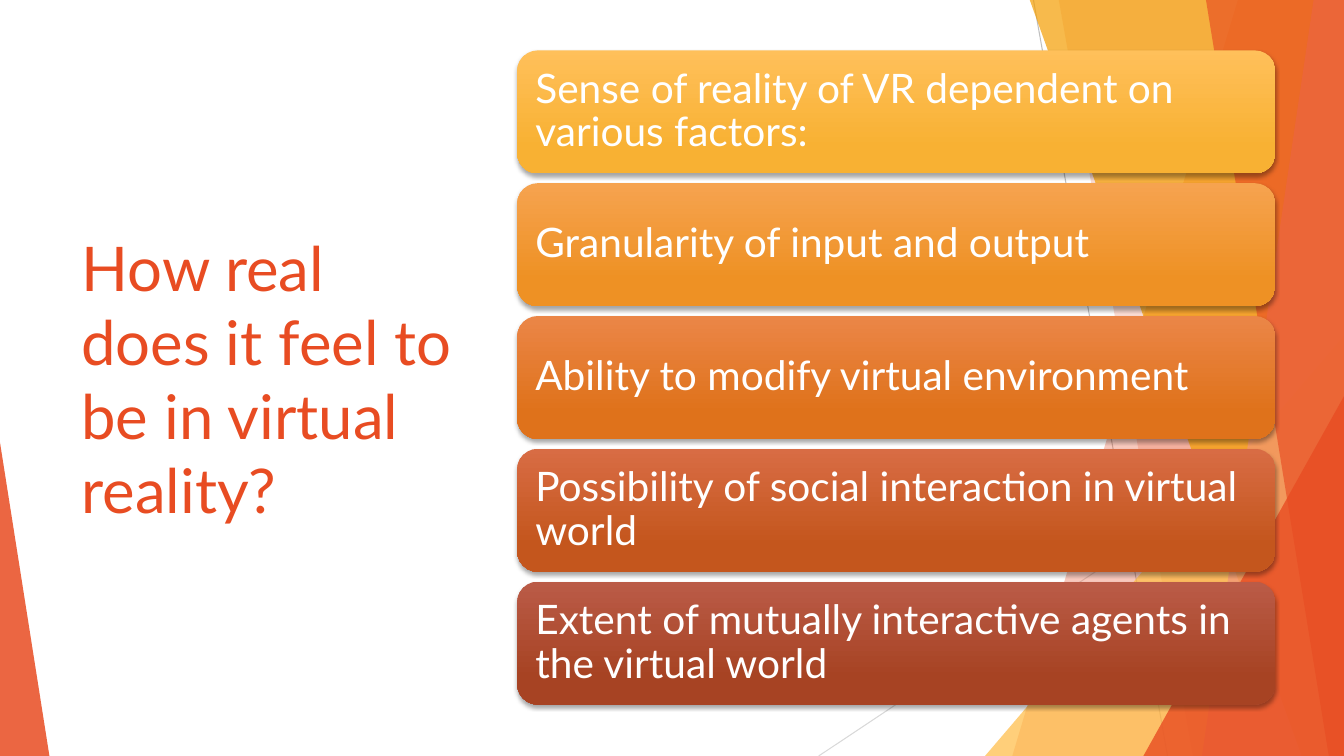
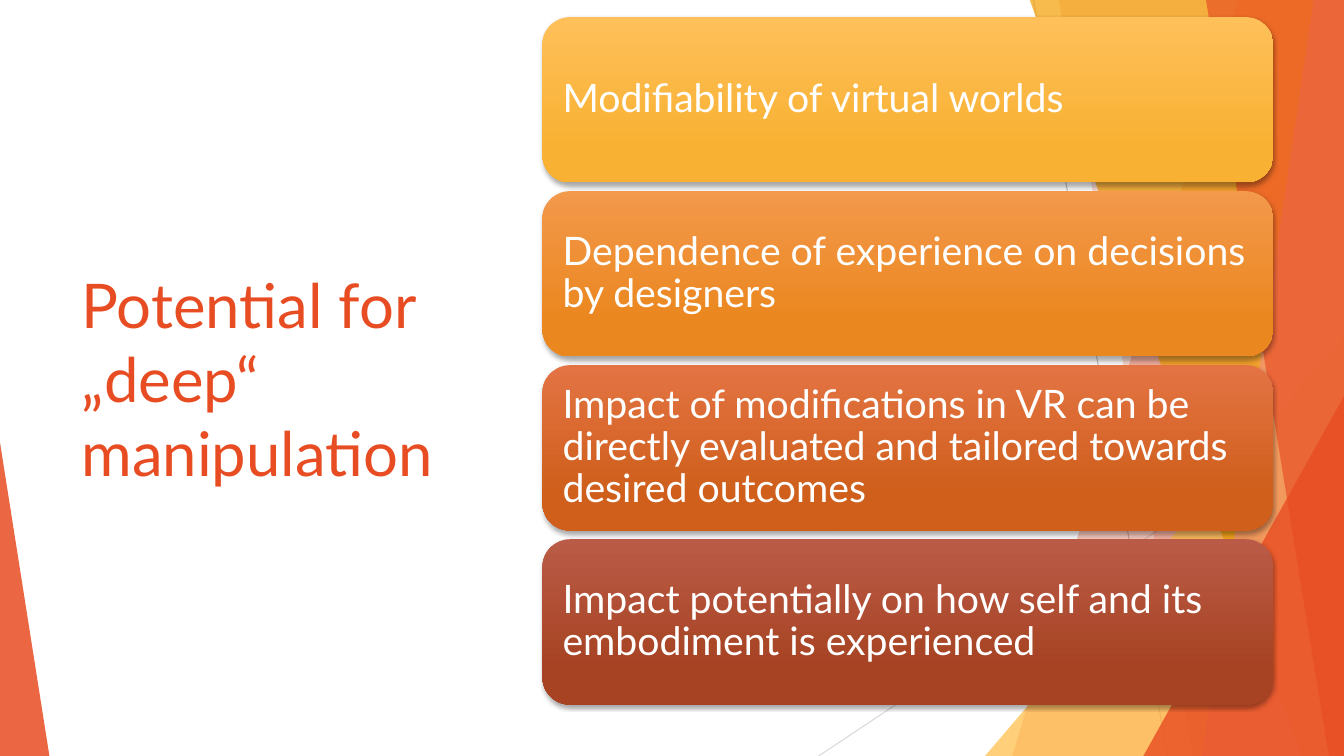
import lxml.etree
import pptx
import pptx.dml.color
import pptx.enum.shapes
import pptx.enum.text
import pptx.oxml.ns
import pptx.util

Inches = pptx.util.Inches
Pt = pptx.util.Pt
qn = pptx.oxml.ns.qn
MIDDLE = pptx.enum.text.MSO_ANCHOR.MIDDLE

FONT = "Lato"
SLIDE_WIDTH, SLIDE_HEIGHT = 13.33, 7.5
CARDS_BOTTOM = 6.99
COLOURS = {
    "red": "E84C22", "amber": "FFBD47", "gold": "F49D00", "salmon": "F1947A",
    "grey": "BFBFBF", "pale grey": "D9D9D9", "white": "FFFFFF", "black": "000000",
    "yellow top": "FFC05A", "yellow base": "F8B133",
    "apricot top": "F6A34F", "apricot base": "EE9124",
    "tangerine top": "F3994C", "tangerine base": "EB871F",
    "orange top": "EB8647", "orange base": "DF721B",
    "coral top": "E37343", "coral base": "CF5F1B",
    "rust top": "D86C44", "rust base": "C4561D",
    "brick top": "BA5B47", "brick base": "A74323",
}

# Hairlines: start x, start y, end x, end y, colour
HAIRLINES = [
    (10.25, 0, 11.58, SLIDE_HEIGHT, "grey"),
    (SLIDE_WIDTH, 4.03, 8.12, SLIDE_HEIGHT, "pale grey"),
]
# Ribbons run to the right edge: top x, bottom x
# Triangles stand on the bottom edge: left, top, width, apex position
DECORATIONS = [
    ("ribbon", (12.28, 10.04), "red", 30),
    ("ribbon", (10.5, 11.83), "red", 20),
    ("triangle", (9.77, 3.33, 3.56, 1), "amber", 72),
    ("ribbon", (10.21, 12.91), "gold", 70),
    ("ribbon", (13.03, 11.92), "salmon", 70),
    ("ribbon", (11.96, 13.18), "red", 65),
    ("triangle", (11.34, 3.93, 1.99, 1), "red", 80),
    ("triangle", (0, 4.39, 0.49, 0), "red", 85),
]

SLIDES = [
    {
        "title": "How real does it feel to be in virtual reality?",
        "left": 5.13, "top": 0.5, "width": 7.52, "height": 1.22, "size": 29,
        "cards": [
            ("Sense of reality of VR dependent on various factors:", "yellow"),
            ("Granularity of input and output", "apricot"),
            ("Ability to modify virtual environment", "orange"),
            ("Possibility of social interaction in virtual world", "rust"),
            ("Extent of mutually interactive agents in the virtual world", "brick"),
        ],
    },
    {
        "title": "Potential for „deep“ manipulation",
        "left": 5.38, "top": 0.17, "width": 7.25, "height": 1.64, "size": 28,
        "cards": [
            ("Modifiability of virtual worlds", "yellow"),
            ("Dependence of experience on decisions by designers", "tangerine"),
            ("Impact of modifications in VR can be directly evaluated "
             "and tailored towards desired outcomes", "coral"),
            ("Impact potentially on how self and its embodiment is experienced", "brick"),
        ],
    },
]


def rgb(name):
    return pptx.dml.color.RGBColor.from_string(COLOURS[name])


def write(shape, text, size, colour):
    """Set one left-aligned, vertically centred paragraph and return it."""
    frame = shape.text_frame
    frame.word_wrap = True
    frame.vertical_anchor = MIDDLE
    paragraph = frame.paragraphs[0]
    paragraph.alignment = pptx.enum.text.PP_ALIGN.LEFT
    run = paragraph.add_run()
    run.text = text
    run.font.name = FONT
    run.font.size = Pt(size)
    run.font.color.rgb = rgb(colour)
    return paragraph


presentation = pptx.Presentation()
presentation.slide_width = Inches(SLIDE_WIDTH)
presentation.slide_height = Inches(SLIDE_HEIGHT)

for content in SLIDES:
    slide = presentation.slides.add_slide(presentation.slide_layouts[6])
    shapes = slide.shapes

    for *ends, colour in HAIRLINES:
        hairline = shapes.add_connector(
            pptx.enum.shapes.MSO_CONNECTOR.STRAIGHT, *[Inches(value) for value in ends])
        hairline.line.color.rgb = rgb(colour)
        hairline.line.width = Pt(0.75)
        lxml.etree.SubElement(hairline._element.spPr, qn("a:effectLst"))

    for kind, geometry, colour, opacity in DECORATIONS:
        if kind == "ribbon":
            top_x, bottom_x = geometry
            builder = shapes.build_freeform(Inches(top_x), Inches(-0.01))
            corners = [(SLIDE_WIDTH, -0.01), (SLIDE_WIDTH, SLIDE_HEIGHT), (bottom_x, SLIDE_HEIGHT)]
            builder.add_line_segments([(Inches(x), Inches(y)) for x, y in corners], close=True)
            decoration = builder.convert_to_shape()
        else:
            left, top, width, apex = geometry
            decoration = shapes.add_shape(
                pptx.enum.shapes.MSO_SHAPE.ISOSCELES_TRIANGLE,
                Inches(left), Inches(top), Inches(width), Inches(SLIDE_HEIGHT - top))
            decoration.adjustments[0] = apex
        decoration.fill.solid()
        decoration.fill.fore_color.rgb = rgb(colour)
        decoration.line.fill.background()
        decoration.shadow.inherit = False
        fill_colour = decoration._element.spPr.find(".//" + qn("a:srgbClr"))
        lxml.etree.SubElement(fill_colour, qn("a:alpha"), val=str(opacity * 1000))

    title = shapes.add_textbox(Inches(0.71), Inches(1.51), Inches(3.88), Inches(4.48))
    write(title, content["title"], 44, "red")

    first_top, height = content["top"], content["height"]
    pitch = (CARDS_BOTTOM - height - first_top) / (len(content["cards"]) - 1)
    for index, (text, colour) in enumerate(content["cards"]):
        card = shapes.add_shape(
            pptx.enum.shapes.MSO_SHAPE.ROUNDED_RECTANGLE,
            Inches(content["left"]), Inches(first_top + index * pitch),
            Inches(content["width"]), Inches(height))
        card.fill.gradient()
        card.fill.gradient_angle = 270
        top_stop, base_stop = card.fill.gradient_stops
        top_stop.color.rgb = rgb(colour + " top")
        base_stop.color.rgb = rgb(colour + " base")
        top_stop.position, base_stop.position = 0, 0.78
        card.line.fill.background()

        card.shadow.inherit = False
        effects = card._element.spPr.find(qn("a:effectLst"))
        shadow = lxml.etree.SubElement(
            effects, qn("a:outerShdw"), blurRad=str(Pt(3)), dist=str(Pt(2)),
            dir="5400000", algn="ctr", rotWithShape="0")
        shadow_colour = lxml.etree.SubElement(shadow, qn("a:srgbClr"), val=COLOURS["black"])
        lxml.etree.SubElement(shadow_colour, qn("a:alpha"), val="35000")

        frame = card.text_frame
        frame.margin_left = frame.margin_right = Inches(0.12)
        frame.margin_top = frame.margin_bottom = Inches(0.12)
        paragraph = write(card, text, content["size"], "white")
        paragraph.line_spacing = 0.9

presentation.save("out.pptx")
